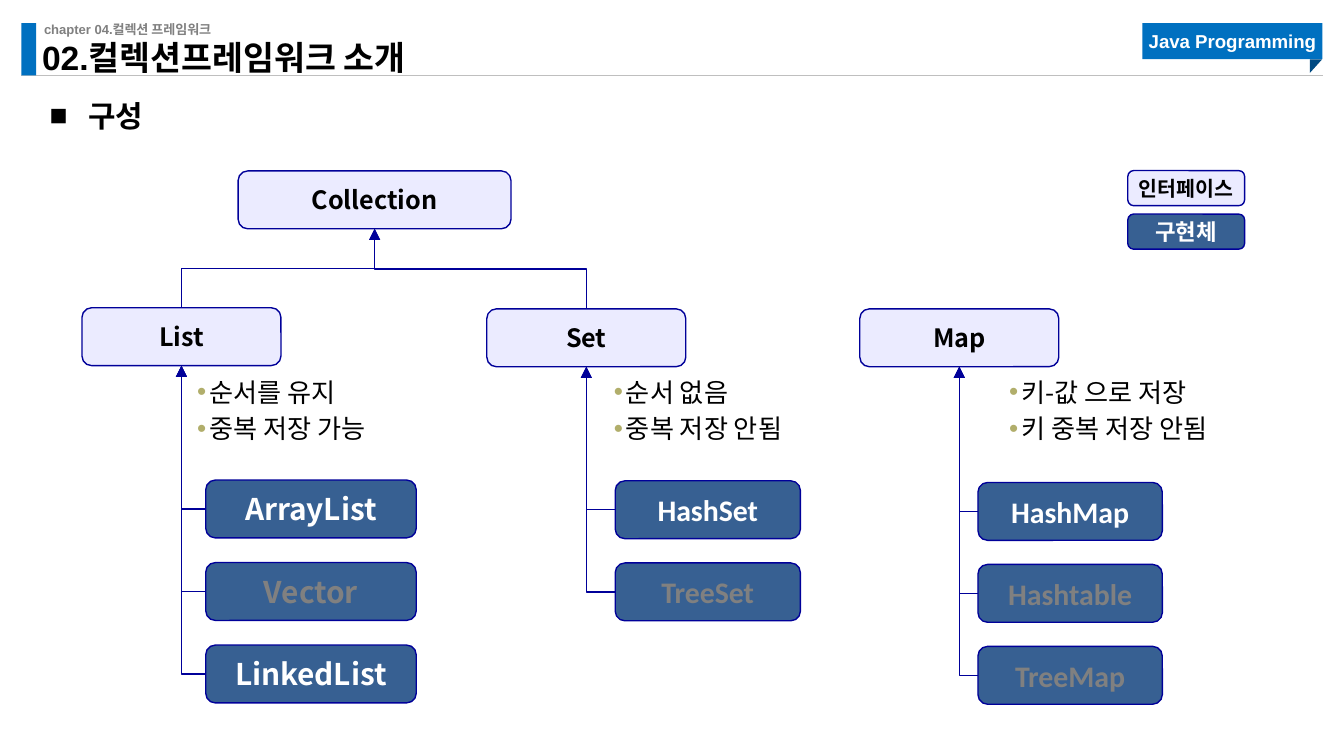
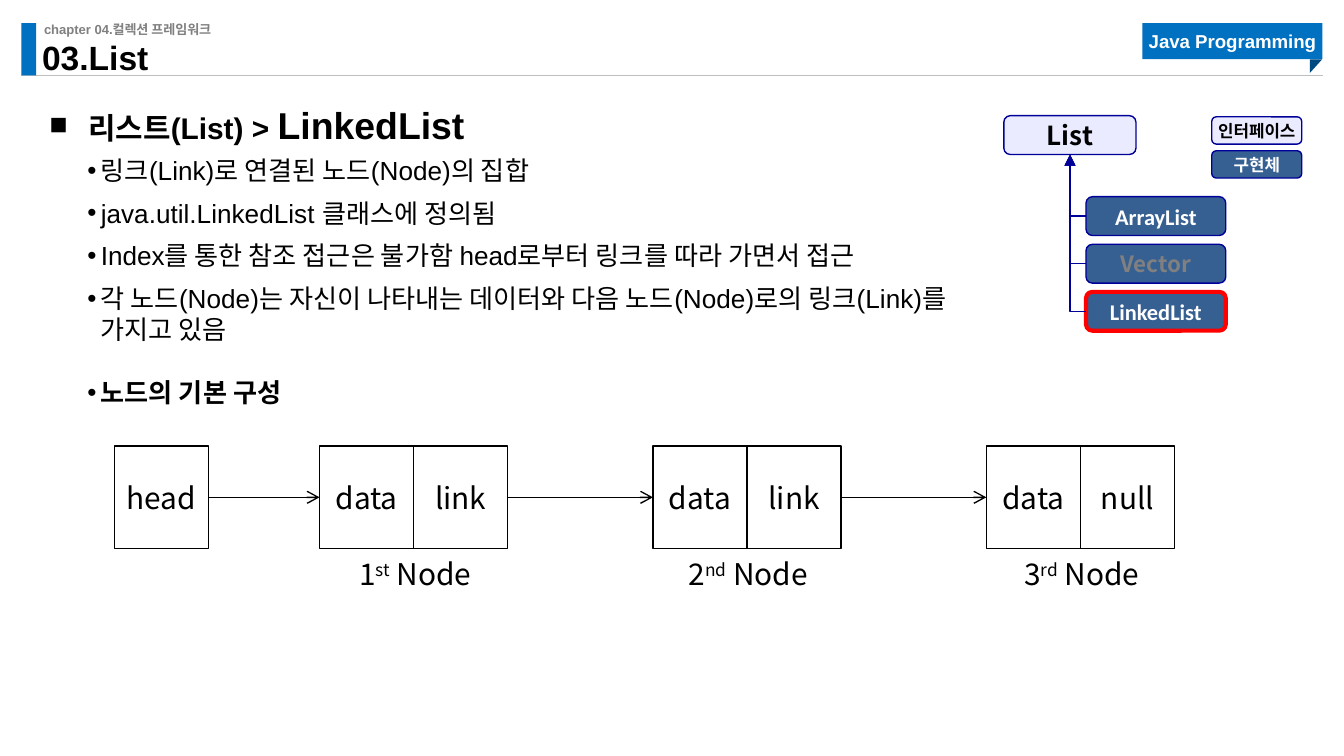
from copy import deepcopy
from dataclasses import dataclass
from typing import NamedTuple

from lxml.etree import SubElement
from pptx import Presentation
from pptx.dml.color import RGBColor
from pptx.enum.shapes import MSO_CONNECTOR, MSO_SHAPE
from pptx.enum.text import MSO_ANCHOR, MSO_AUTO_SIZE, PP_ALIGN
from pptx.oxml.ns import qn
from pptx.util import Pt

BLACK = RGBColor(0x00, 0x00, 0x00)
WHITE = RGBColor(0xFF, 0xFF, 0xFF)
GRAY = RGBColor(0x80, 0x80, 0x80)
RULE_GRAY = RGBColor(0xBF, 0xBF, 0xBF)
BRAND_BLUE = RGBColor(0x00, 0x70, 0xC0)
FOLD_BLUE = RGBColor(0x00, 0x4A, 0x82)
LAVENDER = RGBColor(0xEB, 0xEB, 0xFF)
STEEL = RGBColor(0x37, 0x60, 0x92)
NAVY = RGBColor(0x00, 0x00, 0x99)
RED = RGBColor(0xFF, 0x00, 0x00)
OLIVE = RGBColor(0xB1, 0xAE, 0x6B)

ARIAL = "Arial"
CALIBRI = "Calibri"
NOTO = "Noto Sans CJK KR"

TOP, LEFT, BOTTOM, RIGHT = range(4)
NO_MARGINS = dict.fromkeys(("margin_left", "margin_top", "margin_right", "margin_bottom"), 0)
CENTERED = {"alignment": PP_ALIGN.CENTER}


class Box(NamedTuple):
    left: float
    top: float
    width: float
    height: float

    def lengths(self) -> list:
        return [Pt(value) for value in self]


class Style(NamedTuple):
    size: float
    font: str = ARIAL
    color: RGBColor = BLACK
    bold: bool = False
    baseline: int = 0


class Bullet(NamedTuple):
    symbol: str
    margin: float
    hanging: float
    color: RGBColor = BLACK


@dataclass
class Node:
    text: str
    style: Style
    fill: RGBColor = STEEL
    border: RGBColor = NAVY
    border_width: float = 0.75


@dataclass
class Branch:
    parent: Node
    parent_box: Box
    children: list
    first_child: Box
    step: float


@dataclass
class Notes:
    box: Box
    lines: list


def interface(text: str, size: float) -> Node:
    return Node(text, Style(size, NOTO, BLACK, True), LAVENDER)


def implementation(text: str, size: float, font: str, color: RGBColor = WHITE) -> Node:
    return Node(text, Style(size, font, color, True))


def apply_format(target, values: dict) -> None:
    for name, value in values.items():
        setattr(target, name, value)


def write_paragraph(paragraph, runs: list, values: dict, bullet: Bullet | None = None) -> None:
    apply_format(paragraph, values)
    for text, style in runs:
        for index, line in enumerate(text.split("\n")):
            if index:
                paragraph.add_line_break()
            run = paragraph.add_run()
            run.text = line
            apply_format(run.font, {"size": Pt(style.size), "name": style.font, "bold": style.bold})
            run.font.color.rgb = style.color
            properties = run._r.get_or_add_rPr()
            SubElement(properties, qn("a:ea"), typeface=NOTO)
            if style.baseline:
                properties.set("baseline", str(style.baseline * 1000))
    for line_break in paragraph._p.findall(qn("a:br")):
        line_break.insert(0, deepcopy(paragraph.runs[0]._r.rPr))
    if bullet:
        properties = paragraph._p.get_or_add_pPr()
        properties.set("marL", str(Pt(bullet.margin)))
        properties.set("indent", str(-Pt(bullet.hanging)))
        color = SubElement(properties, qn("a:buClr"))
        SubElement(color, qn("a:srgbClr"), val=str(bullet.color))
        SubElement(properties, qn("a:buFont"), typeface=ARIAL)
        SubElement(properties, qn("a:buChar"), char=bullet.symbol)


def add_box(slide, preset, box: Box, fill=None, border=None, border_width: float = 0.75):
    shape = slide.shapes.add_shape(preset, *box.lengths())
    shape.shadow.inherit = False
    if fill is None:
        shape.fill.background()
    else:
        shape.fill.solid()
        shape.fill.fore_color.rgb = fill
    if border is None:
        shape.line.fill.background()
    else:
        shape.line.color.rgb = border
        shape.line.width = Pt(border_width)
    return shape


def label(shape, runs: list, wrap: bool = True) -> None:
    frame = shape.text_frame
    apply_format(frame, NO_MARGINS | {"word_wrap": wrap, "vertical_anchor": MSO_ANCHOR.MIDDLE})
    write_paragraph(frame.paragraphs[0], runs, CENTERED)


def add_node(slide, node: Node, box: Box):
    shape = add_box(slide, MSO_SHAPE.ROUNDED_RECTANGLE, box, node.fill, node.border, node.border_width)
    label(shape, [(node.text, node.style)], False)
    return shape


def add_text_box(slide, box: Box, values: dict):
    shape = slide.shapes.add_textbox(*box.lengths())
    apply_format(shape.text_frame, {"word_wrap": True} | values)
    return shape


def add_list(slide, box: Box, lines: list, style: Style, bullet: Bullet, gap: float, values: dict) -> None:
    frame = add_text_box(slide, box, values).text_frame
    for index, line in enumerate(lines):
        paragraph = frame.add_paragraph() if index else frame.paragraphs[0]
        write_paragraph(paragraph, [(line, style)], {"level": 1, "space_before": Pt(gap)}, bullet)


def add_line(slide, kind, start: tuple, end: tuple, color: RGBColor, width: float = 0.75, head: str = ""):
    connector = slide.shapes.add_connector(kind, *(Pt(value) for value in start + end))
    connector.line.color.rgb = color
    connector.line.width = Pt(width)
    properties = connector.element.spPr
    if head:
        SubElement(properties.find(qn("a:ln")), qn("a:tailEnd"), type=head)
    SubElement(properties, qn("a:effectLst"))
    return connector


def attach(connector, source, source_site: int, target, target_site: int) -> None:
    links = connector.element.find(".//" + qn("p:cNvCxnSpPr"))
    for tag, shape, site in (("a:stCxn", source, source_site), ("a:endCxn", target, target_site)):
        SubElement(links, qn(tag), id=str(shape.shape_id), idx=str(site))


def rotate(connector, degrees: int) -> None:
    connector.element.spPr.find(qn("a:xfrm")).set("rot", str(degrees * 60000))


def connect_to_trunk(slide, child, child_box: Box, parent, parent_box: Box) -> None:
    corner = (parent_box.left + parent_box.width / 2, parent_box.top + parent_box.height)
    side = (child_box.left, child_box.top + child_box.height / 2)
    connector = add_line(slide, MSO_CONNECTOR.ELBOW, corner, side, NAVY, head="triangle")
    connector.element.spPr.find(qn("a:prstGeom")).set("prst", "bentConnector2")
    rotate(connector, 180)
    attach(connector, child, LEFT, parent, BOTTOM)


def connect_upward(slide, child, child_box: Box, parent, parent_box: Box) -> None:
    child_x = child_box.left + child_box.width / 2
    parent_x = parent_box.left + parent_box.width / 2
    parent_bottom = parent_box.top + parent_box.height
    rise = (child_box.top - parent_bottom) / 2
    span = abs(parent_x - child_x) / 2
    x, y = (child_x + parent_x) / 2, parent_bottom + rise
    side = 1 if child_x < parent_x else -1
    connector = add_line(slide, MSO_CONNECTOR.ELBOW, (x + side * rise, y + span),
                         (x - side * rise, y - span), NAVY, head="triangle")
    rotate(connector, 90 if side == 1 else 270)
    attach(connector, child, TOP, parent, BOTTOM)


def add_branch(slide, branch: Branch):
    parent = add_node(slide, branch.parent, branch.parent_box)
    for index, node in enumerate(branch.children):
        box = branch.first_child._replace(top=branch.first_child.top + index * branch.step)
        child = add_node(slide, node, box)
        connect_to_trunk(slide, child, box, parent, branch.parent_box)
    return parent


def add_legend(slide, box: Box, step: float, sizes: tuple) -> None:
    add_node(slide, interface("인터페이스", sizes[0]), box)
    add_node(slide, implementation("구현체", sizes[1], CALIBRI), box._replace(top=box.top + step))


def add_frame(slide, layout) -> None:
    for placeholder in list(layout.placeholders)[2:]:
        placeholder.element.getparent().remove(placeholder.element)
    add_line(slide, MSO_CONNECTOR.STRAIGHT, (11.5, 40.4), (708.5, 40.4), RULE_GRAY, 0.5)
    add_box(slide, MSO_SHAPE.RECTANGLE, Box(11.5, 12.4, 7.9, 28), BRAND_BLUE)
    chapter = add_text_box(slide, Box(23.6, 11.5, 232.6, 8.6),
                           NO_MARGINS | {"auto_size": MSO_AUTO_SIZE.SHAPE_TO_FIT_TEXT})
    write_paragraph(chapter.text_frame.paragraphs[0],
                    [("chapter 04.컬렉션 프레임워크", Style(7, ARIAL, GRAY, True))], {})
    banner = add_box(slide, MSO_SHAPE.RECTANGLE, Box(612, 12.4, 96.5, 19.4), BRAND_BLUE)
    label(banner, [("Java Programming", Style(10, ARIAL, WHITE, True))])
    fold = add_box(slide, MSO_SHAPE.RIGHT_TRIANGLE, Box(701.4, 32.2, 7.2, 6.5), FOLD_BLUE)
    fold.rotation = 90
    for shape in list(slide.shapes)[2:]:
        layout.shapes.element.append(shape.element)


def fill_placeholder(shape, box: Box, anchor, runs: list, values: dict, bullet: Bullet | None = None) -> None:
    apply_format(shape, dict(zip(("left", "top", "width", "height"), box.lengths())))
    apply_format(shape.text_frame, NO_MARGINS | {
        "word_wrap": True, "auto_size": MSO_AUTO_SIZE.NONE, "vertical_anchor": anchor})
    write_paragraph(shape.text_frame.paragraphs[0], runs,
                    {"alignment": PP_ALIGN.LEFT, "space_before": Pt(0)} | values, bullet)


def add_headings(slide, title: str, heading: list) -> None:
    fill_placeholder(slide.shapes.title, Box(22.5, 25.2, 237.6, 16.6), MSO_ANCHOR.BOTTOM,
                     [(title, Style(18, bold=True))], {"line_spacing": 0.9})
    fill_placeholder(slide.placeholders[1], Box(26.6, 42.5, 686.9, 23.8), MSO_ANCHOR.TOP,
                     heading, {"line_spacing": 1.5}, Bullet("■", 20.9, 20.9))


def build_hierarchy(slide) -> None:
    add_headings(slide, "02.컬렉션프레임워크 소개", [("구성", Style(16, bold=True))])
    collection_box = Box(127.6, 91.6, 146.2, 31)
    collection = add_node(slide, interface("Collection", 13.5), collection_box)
    list_branch = Branch(interface("List", 13.5), Box(43.9, 164.9, 106.6, 31), [
        implementation("ArrayList", 16, NOTO),
        implementation("Vector", 16, NOTO, GRAY),
        implementation("LinkedList", 16, NOTO),
    ], Box(110.2, 257.2, 112.8, 31), 44.2)
    set_branch = Branch(interface("Set", 13.5), Box(260.8, 165.5, 106.6, 31), [
        implementation("HashSet", 16, CALIBRI),
        implementation("TreeSet", 16, CALIBRI, GRAY),
    ], Box(329.6, 257.6, 99.2, 31), 44)
    map_branch = Branch(interface("Map", 13.5), Box(460.6, 165.5, 106.6, 31), [
        implementation("HashMap", 16, CALIBRI),
        implementation("Hashtable", 16, CALIBRI, GRAY),
        implementation("TreeMap", 16, CALIBRI, GRAY),
    ], Box(523.9, 258.5, 98.8, 31), 43.9)
    for branch in (list_branch, set_branch):
        parent = add_branch(slide, branch)
        connect_upward(slide, parent, branch.parent_box, collection, collection_box)
    add_branch(slide, map_branch)
    add_legend(slide, Box(604.2, 91.4, 62.6, 18.8), 23.3, (11, 12))
    for notes in (
        Notes(Box(98.6, 198, 161.3, 46.1), ["순서를 유지", "중복 저장 가능"]),
        Notes(Box(321.8, 198, 161.3, 46.1), ["순서 없음", "중복 저장 안됨"]),
        Notes(Box(533.5, 198, 144.7, 46.1), ["키-값 으로 저장", "키 중복 저장 안됨"]),
    ):
        add_list(slide, notes.box, notes.lines, Style(14, NOTO), Bullet("•", 6.5, 6.5, OLIVE), 2.8, {})


def add_linked_nodes(slide) -> None:
    style = Style(16, NOTO)
    cell = Box(61.4, 239, 50.4, 54.9)

    def add_cell(text: str, left: float):
        shape = add_box(slide, MSO_SHAPE.RECTANGLE, cell._replace(left=left), border=BLACK)
        label(shape, [(text, style)])
        return shape

    previous, previous_left = add_cell("head", cell.left), cell.left
    middle = cell.top + cell.height / 2
    for index, (ordinal, last) in enumerate((("st", "link"), ("nd", "link"), ("rd", "null"))):
        left = 171.2 + index * 178.6
        data = add_cell("data", left)
        arrow = add_line(slide, MSO_CONNECTOR.STRAIGHT, (previous_left + cell.width, middle),
                         (left, middle), BLACK, head="arrow")
        attach(arrow, previous, RIGHT, data, LEFT)
        previous_left = left + cell.width
        previous = add_cell(last, previous_left)
        caption = add_text_box(slide, Box(left + 5.5, 293.4, 91.4, 27.4), {})
        label(caption, [(str(index + 1), style), (ordinal, style._replace(baseline=30)), (" Node", style)])


def build_linked_list(slide) -> None:
    add_headings(slide, "03.List", [("리스트(List) > ", Style(16, bold=True)),
                                    ("LinkedList", Style(20, bold=True))])
    bullet = Bullet("•", 28.8, 7.2)
    add_list(slide, Box(25.2, 82.8, 615.6, 104.4), [
        "링크(Link)로 연결된 노드(Node)의 집합",
        "java.util.LinkedList 클래스에 정의됨",
        "Index를 통한 참조 접근은 불가함 head로부터 링크를 따라 가면서 접근",
        "각 노드(Node)는 자신이 나타내는 데이터와 다음 노드(Node)로의 링크(Link)를 \n가지고 있음",
    ], Style(14), bullet, 6, NO_MARGINS)
    add_list(slide, Box(25.2, 201.6, 615.6, 20.2), ["노드의 기본 구성"],
             Style(14, bold=True), bullet, 6, NO_MARGINS)
    add_linked_nodes(slide)
    highlighted = implementation("LinkedList", 12, CALIBRI)
    apply_format(highlighted, {"border": RED, "border_width": 2.25})
    add_branch(slide, Branch(interface("List", 14), Box(537.8, 62, 70.8, 20.8), [
        implementation("ArrayList", 12, CALIBRI),
        implementation("Vector", 12, NOTO, GRAY),
        highlighted,
    ], Box(581.8, 105.4, 74.9, 20.8), 25.5))
    add_legend(slide, Box(649.2, 62.6, 48.2, 14.6), 18.2, (9, 9))


def main() -> None:
    presentation = Presentation()
    apply_format(presentation, {"slide_width": Pt(720), "slide_height": Pt(405)})
    layout = presentation.slide_layouts[1]
    for index, build in enumerate((build_hierarchy, build_linked_list)):
        slide = presentation.slides.add_slide(layout)
        if index == 0:
            add_frame(slide, layout)
        build(slide)
    presentation.save("out.pptx")


if __name__ == "__main__":
    main()
